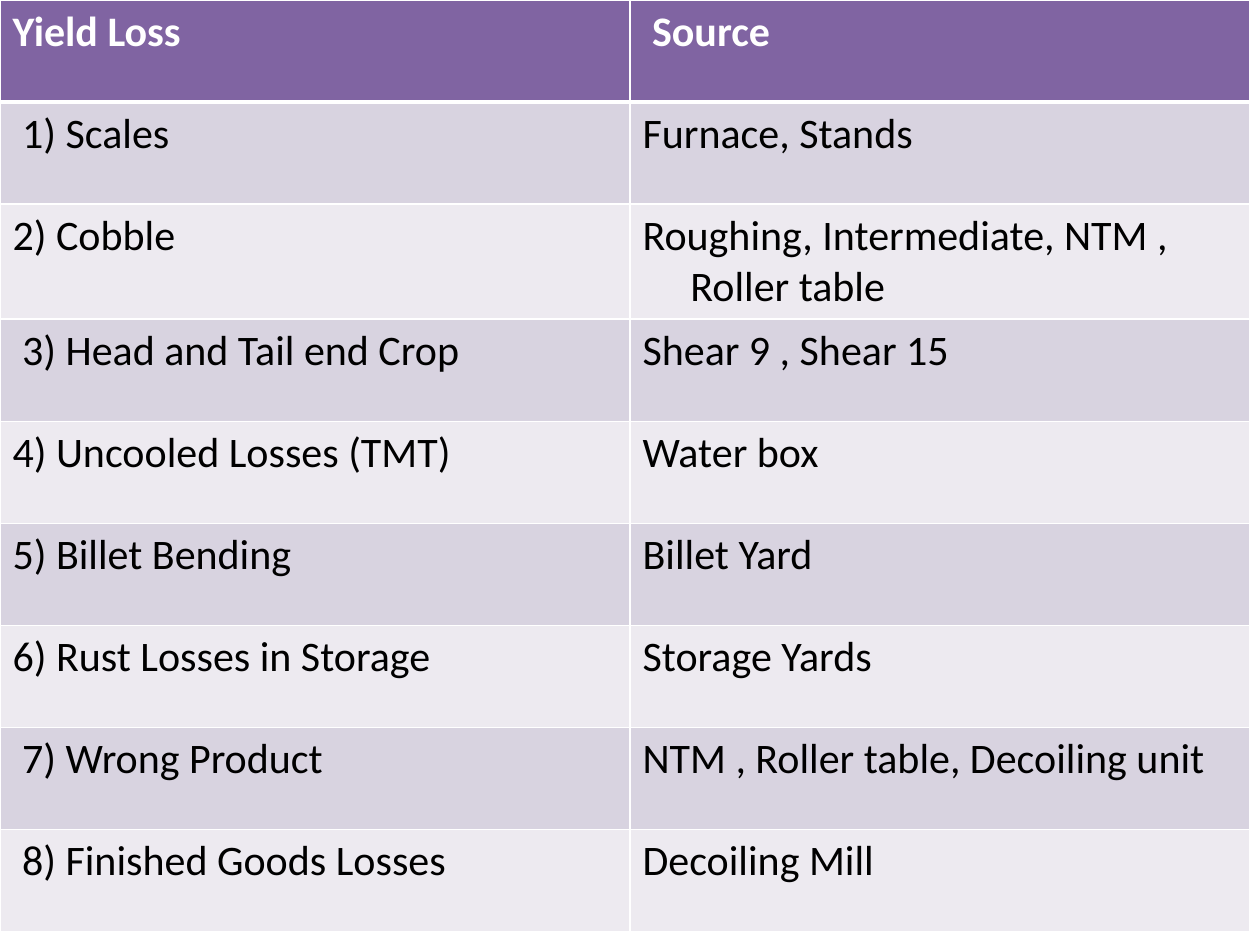
from lxml import etree
from pptx import Presentation, util as u
from pptx.dml.color import RGBColor
from pptx.oxml import ns


def rgb(value):
    return RGBColor.from_string(value)


def border(cell, side, width):
    ln = etree.SubElement(cell._tc.get_or_add_tcPr(), ns.qn("a:ln" + side), w=str(u.Pt(width)))
    fill = etree.SubElement(ln, ns.qn("a:solidFill"))
    etree.SubElement(fill, ns.qn("a:srgbClr"), val="FFFFFF")


rows = [
    ("Yield Loss", " Source"),
    (" 1) Scales", "Furnace, Stands"),
    ("2) Cobble", "Roughing, Intermediate, NTM , Roller table"),
    (" 3) Head and Tail end Crop", "Shear 9 , Shear 15"),
    ("4) Uncooled Losses (TMT)", "Water box"),
    ("5) Billet Bending", "Billet Yard"),
    ("6) Rust Losses in Storage", "Storage Yards"),
    (" 7) Wrong Product", "NTM , Roller table, Decoiling unit"),
    (" 8) Finished Goods Losses", "Decoiling Mill"),
]
header = {"fill": "8064A2", "color": "FFFFFF", "bold": True}
bands = [
    {"fill": "EDEAF0", "color": "000000", "bold": False},
    {"fill": "D8D3E0", "color": "000000", "bold": False},
]
col_widths = [5, 4.92]
row_height, tall_row, tall_height = 0.81, 2, 0.9
total_height = row_height * (len(rows) - 1) + tall_height

prs = Presentation()
prs.slide_width, prs.slide_height = u.Inches(10), u.Inches(7.5)
s = prs.slides.add_slide(prs.slide_layouts[6])
table = s.shapes.add_table(
    len(rows), len(col_widths), 0, 0, u.Inches(sum(col_widths)), u.Inches(total_height)
).table
for column, width in zip(table.columns, col_widths):
    column.width = u.Inches(width)

for i, row in enumerate(rows):
    table.rows[i].height = u.Inches(tall_height if i == tall_row else row_height)
    style = bands[i % 2] if i else header
    widths = {"L": 1, "R": 1, "T": 3 if i == 1 else 1, "B": 1 if i else 3}
    for j, words in enumerate(row):
        cell = table.cell(i, j)
        for side, width in widths.items():
            border(cell, side, width)
        cell.fill.solid()
        cell.fill.fore_color.rgb = rgb(style["fill"])
        p = cell.text_frame.paragraphs[0]
        r = p.add_run()
        r.text = words
        for name, value in {"name": "Calibri", "size": u.Pt(24), "bold": style["bold"]}.items():
            setattr(r.font, name, value)
        r.font.color.rgb = rgb(style["color"])

pPr = table.cell(tall_row, 1).text_frame.paragraphs[0]._p.get_or_add_pPr()
for name, value in {"marL": 0.38, "indent": -0.38}.items():
    pPr.set(name, str(u.Inches(value)))

prs.save("out.pptx")
